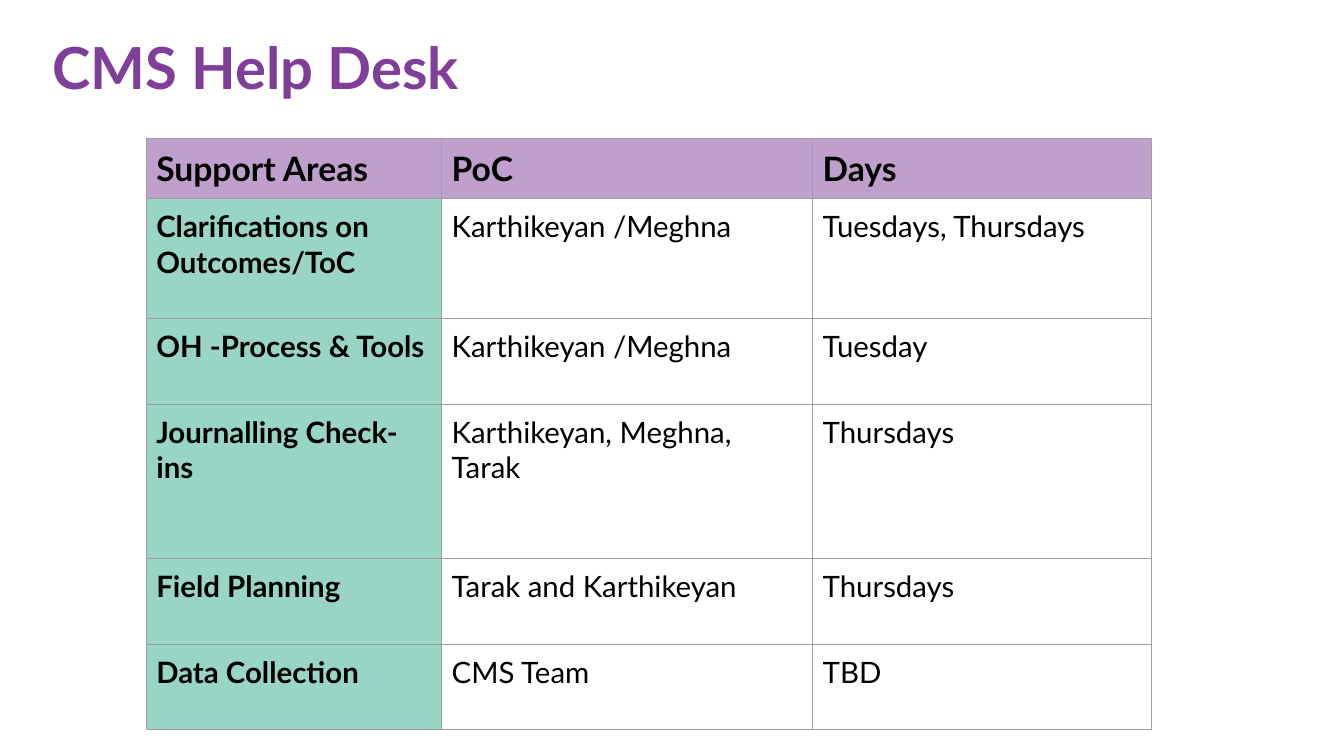
import pptx
import pptx.dml.color
import pptx.enum.text
import pptx.oxml
import pptx.oxml.ns
import pptx.util

PX = 9144  # EMU in one px, 100 px to the inch
COLORS = {
    "title": "7F3F98",
    "text": "000000",
    "header": "BF9FCB",
    "area": "98D5C5",
    "border": "9E9E9E",
}
FORMATS = {
    "title": {"size": pptx.util.Pt(41.4), "bold": True},
    "header": {"size": pptx.util.Pt(24), "bold": True},
    "area": {"size": pptx.util.Pt(21), "bold": True},
    "body": {"size": pptx.util.Pt(21), "bold": False},
}
COLUMN_WIDTHS = [293, 368, 336]
ROW_HEIGHTS = [60, 119, 85, 153, 85, 85]
HELP_DESK = [
    ["Support Areas", "PoC", "Days"],
    ["Clarifications on Outcomes/ToC", "Karthikeyan /Meghna", "Tuesdays, Thursdays"],
    ["OH -Process & Tools", "Karthikeyan /Meghna", "Tuesday"],
    ["Journalling Check-ins", "Karthikeyan, Meghna, Tarak", "Thursdays"],
    ["Field Planning", "Tarak and Karthikeyan", "Thursdays"],
    ["Data Collection", "CMS Team", "TBD"],
]


def px(length):
    return pptx.util.Emu(length * PX)


def rgb(name):
    return pptx.dml.color.RGBColor.from_string(COLORS[name])


def set_attributes(target, values):
    for name, value in values.items():
        setattr(target, name, value)


class SlideBuilder:
    """Holds the font and the slide that elements are placed on."""

    def __init__(self, slide, font_name):
        self.slide = slide
        self.font_name = font_name

    def style(self, para, format_name, color):
        set_attributes(para.font, {"name": self.font_name, **FORMATS[format_name]})
        para.font.color.rgb = rgb(color)

    def title(self, text, left, top, width, height):
        box = self.slide.shapes.title
        set_attributes(box, {"left": px(left), "top": px(top),
                             "width": px(width), "height": px(height)})
        frame = box.text_frame
        set_attributes(frame, {
            "text": text,
            "word_wrap": True,
            "auto_size": pptx.enum.text.MSO_AUTO_SIZE.NONE,
            "vertical_anchor": pptx.enum.text.MSO_ANCHOR.MIDDLE,
            "margin_left": px(10), "margin_right": px(10),
            "margin_top": px(5), "margin_bottom": px(70),
        })
        para = frame.paragraphs[0]
        para.alignment = pptx.enum.text.PP_ALIGN.LEFT
        self.style(para, "title", "title")

    def table(self, rows, left, top, widths, heights):
        frame = self.slide.shapes.add_table(
            len(rows), len(widths), px(left), px(top),
            px(sum(widths)), px(sum(heights)))
        table = frame.table
        set_attributes(table, {"first_row": False, "horz_banding": False})
        for column, width in zip(table.columns, widths):
            column.width = px(width)
        for row, height in zip(table.rows, heights):
            row.height = px(height)
        for row_index, texts in enumerate(rows):
            for column_index, text in enumerate(texts):
                if row_index == 0:
                    kind = "header"
                else:
                    kind = "area" if column_index == 0 else "body"
                self.cell(table.cell(row_index, column_index), text, kind)

    def cell(self, cell, text, kind):
        set_attributes(cell, {
            "text": text,
            "vertical_anchor": pptx.enum.text.MSO_ANCHOR.TOP,
            "margin_left": px(10), "margin_right": px(10),
            "margin_top": px(10), "margin_bottom": px(10),
        })
        self.style(cell.text_frame.paragraphs[0], kind, "text")
        self.borders(cell)
        if kind in COLORS:
            cell.fill.solid()
            cell.fill.fore_color.rgb = rgb(kind)
        else:
            cell.fill.background()

    def borders(self, cell):
        properties = cell._tc.get_or_add_tcPr()
        for side in "LRTB":
            properties.append(pptx.oxml.parse_xml(
                f'<a:ln{side} {pptx.oxml.ns.nsdecls("a")} w="{pptx.util.Pt(0.75)}">'
                f'<a:solidFill><a:srgbClr val="{COLORS["border"]}"/></a:solidFill>'
                f'</a:ln{side}>'))


def main():
    deck = pptx.Presentation()
    set_attributes(deck, {"slide_width": px(1333), "slide_height": px(750)})
    title_only = deck.slide_layouts[5]
    page = SlideBuilder(deck.slides.add_slide(title_only), "Lato")
    page.title("CMS Help Desk", 42, 49, 1150, 99)
    page.table(HELP_DESK, 145, 137, COLUMN_WIDTHS, ROW_HEIGHTS)
    deck.save("out.pptx")


if __name__ == "__main__":
    main()
